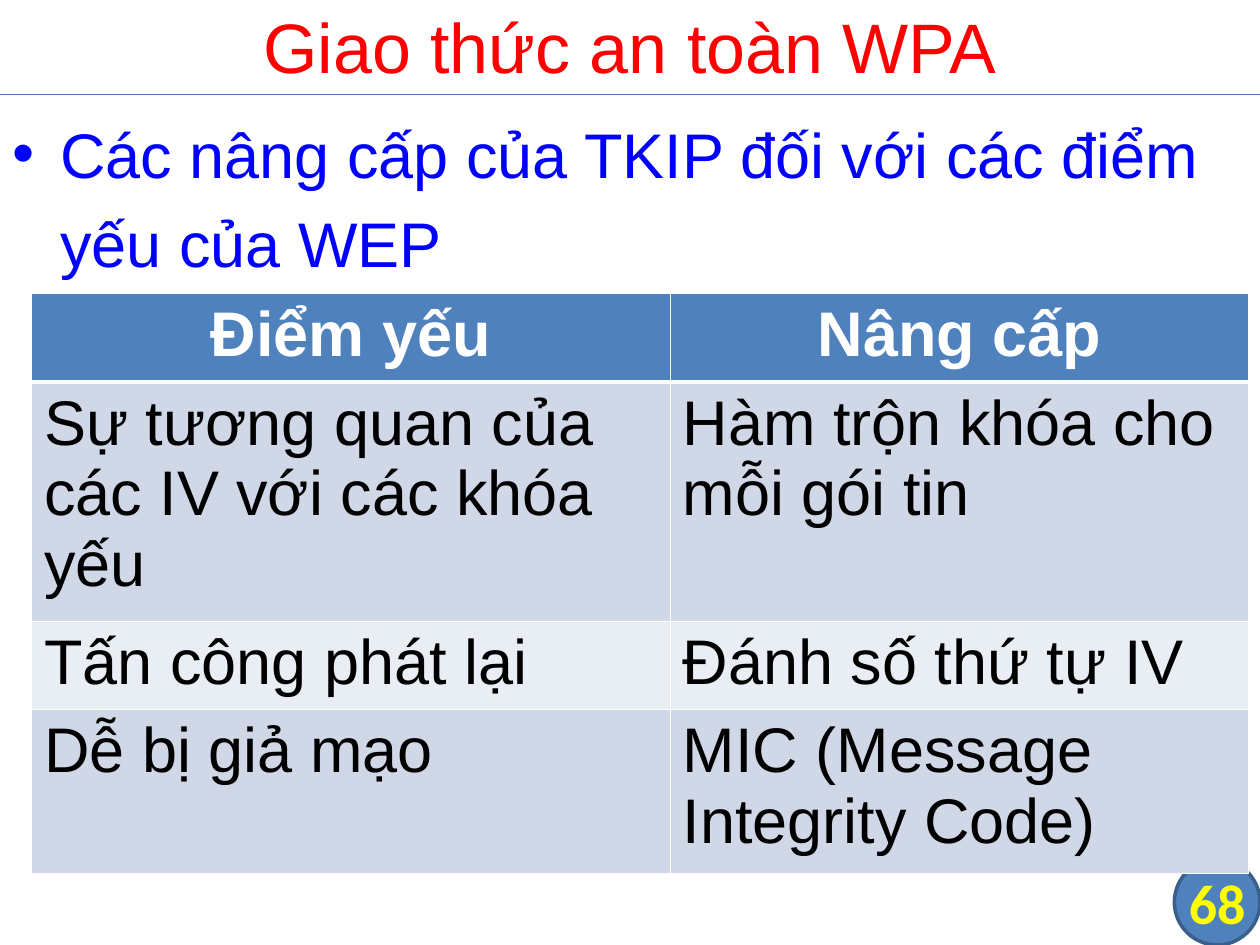
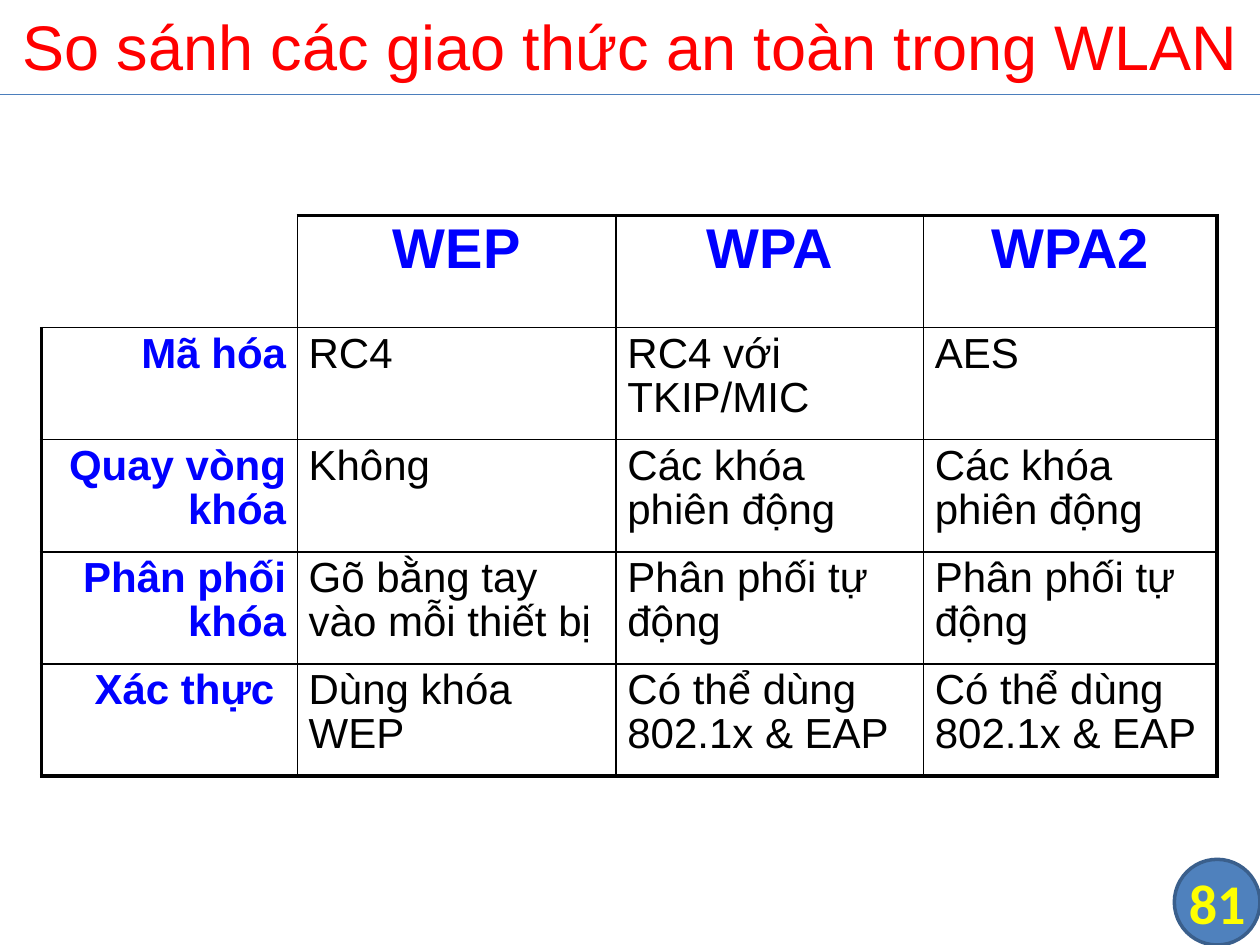
from lxml.etree import SubElement
from pptx import Presentation
from pptx.dml.color import RGBColor
from pptx.enum.shapes import MSO_CONNECTOR, MSO_SHAPE
from pptx.enum.text import MSO_ANCHOR, PP_ALIGN
from pptx.oxml.ns import qn
from pptx.util import Inches, Pt

COLORS = {
    "title": "FF0000", "accent": "0000FF", "text": "000000", "white": "FFFFFF",
    "badge": "4F81BD", "badge_line": "3A5F8C", "rule": "4B7EBC", "number": "FFFF00",
    "header": "4F81BD", "odd": "D0D8E8", "even": "E9EDF4",
}
WIDTH, HEIGHT = 10, 7.5
TITLE_BOTTOM = 0.75
BADGE = 0.68
THIN, THICK, HEADER_RULE = 1, 2.25, 3

UPGRADES = {
    "title": "Giao thức an toàn WPA", "title_size": 40, "number": "68",
    "bullet": "Các nâng cấp của TKIP đối với các điểm yếu của WEP",
    "at": (0.25, 2.33), "columns": (5.07, 4.59), "row_height": 0.41,
    "rows": [
        ("Điểm yếu", "Nâng cấp"),
        ("Sự tương quan của các IV với các khóa yếu", "Hàm trộn khóa cho mỗi gói tin"),
        ("Tấn công phát lại", "Đánh số thứ tự IV"),
        ("Dễ bị giả mạo", "MIC (Message Integrity Code)"),
    ],
}
COMPARISON = {
    "title": "So sánh các giao thức an toàn trong WLAN", "title_size": 36, "number": "81",
    "at": (0.33, 1.71), "columns": (2.03, 2.53, 2.44, 2.33), "row_height": 0.89,
    "rows": [
        ("", "WEP", "WPA", "WPA2"),
        ("Mã hóa", "RC4", "RC4 với TKIP/MIC", "AES"),
        ("Quay vòng khóa", "Không", "Các khóa phiên động", "Các khóa phiên động"),
        ("Phân phối khóa", "Gõ bằng tay vào mỗi thiết bị", "Phân phối tự động", "Phân phối tự động"),
        ("Xác thực ", "Dùng khóa WEP", "Có thể dùng 802.1x & EAP", "Có thể dùng 802.1x & EAP"),
    ],
}


def color(name):
    return RGBColor.from_string(COLORS[name])


def write(frame, text, size, color_name, bold=False, font="Arial", **paragraph_format):
    paragraph = frame.paragraphs[0]
    for name, value in paragraph_format.items():
        setattr(paragraph, name, value)
    run = paragraph.add_run()
    run.text = text
    for name, value in {"size": Pt(size), "name": font, "bold": bold}.items():
        setattr(run.font, name, value)
    run.font.color.rgb = color(color_name)
    return paragraph


def add_text_box(slide, at, anchor=MSO_ANCHOR.TOP, margin=None):
    frame = slide.shapes.add_textbox(*map(Inches, at)).text_frame
    frame.word_wrap = True
    frame.vertical_anchor = anchor
    if margin is not None:
        for side in ("left", "top", "right", "bottom"):
            setattr(frame, f"margin_{side}", Inches(margin))
    return frame


def add_frame(presentation, content):
    """Add a slide with its title, title rule and numbered badge."""
    slide = presentation.slides.add_slide(presentation.slide_layouts[6])
    corner = (WIDTH - BADGE, HEIGHT - BADGE, BADGE, BADGE)
    badge = slide.shapes.add_shape(MSO_SHAPE.FLOWCHART_CONNECTOR, *map(Inches, corner))
    badge.shadow.inherit = False
    badge.fill.solid()
    badge.fill.fore_color.rgb = color("badge")
    badge.line.color.rgb = color("badge_line")
    badge.line.width = Pt(2)

    ends = (0, TITLE_BOTTOM, WIDTH, TITLE_BOTTOM)
    rule = slide.shapes.add_connector(MSO_CONNECTOR.STRAIGHT, *map(Inches, ends))
    rule.line.color.rgb = color("rule")
    rule.line.width = Pt(0.75)
    SubElement(rule._element.spPr, qn("a:effectLst"))

    title = add_text_box(slide, (0, -0.03, WIDTH, TITLE_BOTTOM + 0.03), MSO_ANCHOR.MIDDLE)
    write(title, content["title"], content["title_size"], "title", alignment=PP_ALIGN.CENTER)
    number = add_text_box(slide, corner, MSO_ANCHOR.MIDDLE, margin=0)
    write(number, content["number"], 32, "number", True, "Calibri", alignment=PP_ALIGN.CENTER)
    return slide


def add_bullet(slide, text):
    frame = add_text_box(slide, (0, TITLE_BOTTOM, WIDTH, HEIGHT - TITLE_BOTTOM))
    paragraph = write(frame, text, 36, "accent", line_spacing=1.19,
                      space_before=Pt(6), space_after=Pt(6))
    properties = paragraph._p.get_or_add_pPr()
    properties.set("marL", str(Inches(0.38)))
    properties.set("indent", str(-Inches(0.38)))
    SubElement(properties, qn("a:buFont"), typeface="Arial")
    SubElement(properties, qn("a:buChar"), char="•")


def set_borders(cell, color_name, widths):
    """Draw the left, right, top and bottom borders; a width of 0 hides one."""
    properties = cell._tc.get_or_add_tcPr()
    for side, width in zip("LRTB", widths):
        line = SubElement(properties, qn(f"a:ln{side}"), w=str(Pt(width)))
        if width:
            fill = SubElement(line, qn("a:solidFill"))
            SubElement(fill, qn("a:srgbClr"), val=COLORS[color_name])
        else:
            SubElement(line, qn("a:noFill"))


def add_table(slide, content, style_cell):
    rows, columns = content["rows"], content["columns"]
    size = (sum(columns), content["row_height"] * len(rows))
    table = slide.shapes.add_table(
        len(rows), len(columns), *map(Inches, content["at"] + size)).table
    table.first_row = table.horz_banding = False
    for column, width in zip(table.columns, columns):
        column.width = Inches(width)
    for row_index, row in enumerate(rows):
        table.rows[row_index].height = Inches(content["row_height"])
        for column_index, text in enumerate(row):
            style_cell(table.cell(row_index, column_index), text, row_index, column_index)


def style_upgrade(cell, text, row, column):
    header = row == 0
    set_borders(cell, "white", (THIN, THIN, HEADER_RULE if row == 1 else THIN,
                                HEADER_RULE if header else THIN))
    cell.fill.solid()
    cell.fill.fore_color.rgb = color("header" if header else "odd" if row % 2 else "even")
    write(cell.text_frame, text, 36, "white" if header else "text", header,
          alignment=PP_ALIGN.CENTER if header else PP_ALIGN.LEFT)


def style_comparison(cell, text, row, column):
    last_row = len(COMPARISON["rows"]) - 1
    last_column = len(COMPARISON["columns"]) - 1
    outer = THICK if text else 0
    set_borders(cell, "text", (
        outer if column == 0 else THIN, THICK if column == last_column else THIN,
        outer if row == 0 else THIN, THICK if row == last_row else THIN))
    cell.fill.background()
    for side, margin in {"left": 0.09, "right": 0.09, "top": 0.04, "bottom": 0.04}.items():
        setattr(cell, f"margin_{side}", Inches(margin))
    if not text:
        return
    heading = row == 0 or column == 0
    alignment = (PP_ALIGN.CENTER if row == 0 else
                 PP_ALIGN.RIGHT if column == 0 else PP_ALIGN.LEFT)
    write(cell.text_frame, text, 24 if row else 32, "accent" if heading else "text",
          heading, alignment=alignment, line_spacing=0.95)


def main():
    presentation = Presentation()
    presentation.slide_width, presentation.slide_height = Inches(WIDTH), Inches(HEIGHT)
    upgrades = add_frame(presentation, UPGRADES)
    add_bullet(upgrades, UPGRADES["bullet"])
    add_table(upgrades, UPGRADES, style_upgrade)
    add_table(add_frame(presentation, COMPARISON), COMPARISON, style_comparison)
    presentation.save("out.pptx")


if __name__ == "__main__":
    main()
